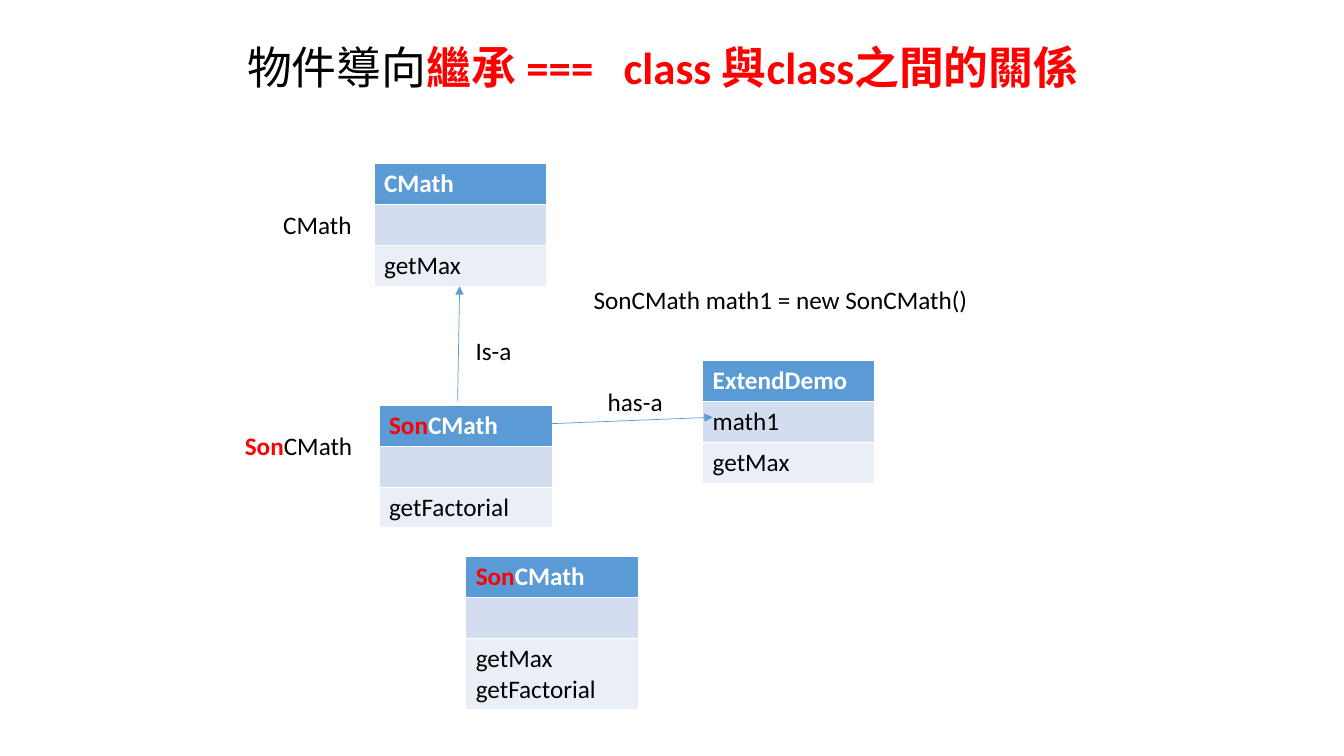
from pptx import Presentation
from pptx.dml.color import RGBColor
from pptx.enum.lang import MSO_LANGUAGE_ID
from pptx.enum.shapes import MSO_CONNECTOR
from pptx.enum.text import MSO_ANCHOR, MSO_AUTO_SIZE, PP_ALIGN
from pptx.oxml.ns import qn
from pptx.util import Inches, Pt
from lxml.etree import SubElement

STRAIGHT = MSO_CONNECTOR.STRAIGHT
TOP = MSO_ANCHOR.TOP
GROW, FIXED = MSO_AUTO_SIZE.SHAPE_TO_FIT_TEXT, MSO_AUTO_SIZE.NONE
LEFT = PP_ALIGN.LEFT
CHINESE = MSO_LANGUAGE_ID.TRADITIONAL_CHINESE

BLACK = RGBColor(0, 0, 0)
WHITE = RGBColor(255, 255, 255)
RED = RGBColor(255, 0, 0)
BLUE = RGBColor(0x5B, 0x9B, 0xD5)
MID = RGBColor(0xD2, 0xDE, 0xEF)
PALE = RGBColor(0xEA, 0xEF, 0xF7)

FONT = "Calibri"
WIDE, HIGH = Inches(13.33), Inches(7.5)
ROW = 5.42      # height of a table row, percent of the slide
LINE = 5.33     # height of a one-line label, percent of the slide
SON = ("Son", RED, True)


def scale(*parts):
    """Turn percentages of the slide, x and y in turn, into lengths."""
    return [int(part * (HIGH if i % 2 else WIDE) / 100)
            for i, part in enumerate(parts)]


def write(para, runs, size=18):
    """Fill a paragraph with (text, colour, bold) runs."""
    para.font.name, para.font.size = FONT, Pt(size)
    for text, color, bold in runs:
        run = para.add_run()
        run.text = text
        run.font.color.rgb, run.font.bold = color, bold


def add_title(slide, box):
    """Place the two-coloured heading in the title placeholder."""
    title = slide.shapes.title
    title.left, title.top, title.width, title.height = scale(*box)
    frame = title.text_frame
    frame.word_wrap, frame.auto_size = True, FIXED
    frame.vertical_anchor = TOP
    para = frame.paragraphs[0]
    para.alignment, para.line_spacing = LEFT, 0.9
    write(para, [("物件導向", BLACK, False),
                 ("繼承 ===   class 與class之間的關係", RED, True)], 32)
    for run in para.runs:
        run.font.language_id = CHINESE


def add_class(slide, box, name, fields=(), methods=()):
    """Draw a class as a table of name, fields and methods."""
    x, y, wide = box
    frame = slide.shapes.add_table(3, 1, *scale(x, y, wide, 3 * ROW))
    body = [[[(text, BLACK, False)] for text in part]
            for part in (fields, methods)]
    for i, (lines, fill) in enumerate(zip([[name], *body],
                                          (BLUE, MID, PALE))):
        cell = frame.table.cell(i, 0)
        cell.fill.solid()
        cell.fill.fore_color.rgb = fill
        text = cell.text_frame
        for j, runs in enumerate(lines):
            para = text.add_paragraph() if j else text.paragraphs[0]
            write(para, runs)


def add_label(slide, box, *runs):
    """Add a one-line label."""
    x, y, wide = box
    frame = slide.shapes.add_textbox(*scale(x, y, wide, LINE)).text_frame
    frame.word_wrap, frame.auto_size = False, GROW
    write(frame.paragraphs[0], runs)


def add_arrow(slide, ends):
    """Draw a thin arrow between two points."""
    arrow = slide.shapes.add_connector(STRAIGHT, *scale(*ends))
    arrow.line.color.rgb, arrow.line.width = BLUE, Pt(0.5)
    SubElement(arrow.line._get_or_add_ln(), qn("a:tailEnd"), type="triangle")
    SubElement(arrow._element.spPr, qn("a:effectLst"))


def add_tree(slide):
    """Draw the classes, their labels and their relations."""
    base = ("CMath", WHITE, True)
    demo = ("ExtendDemo", WHITE, True)
    add_class(slide, (27.83, 21.6, 12.83), [base], methods=["getMax"])
    add_class(slide, (28.2, 53.6, 12.9), [SON, base],
              methods=["getFactorial"])
    add_class(slide, (52.28, 47.73, 12.83), [demo], ["math1"], ["getMax"])
    add_class(slide, (34.65, 73.6, 12.9), [SON, base],
              methods=["getMax", "getFactorial"])

    plain = ("CMath", BLACK, False)
    add_label(slide, (20.33, 27.07, 6.68), plain)
    add_label(slide, (17.48, 56.27, 9.53), SON, plain)
    for box, text in (((34.65, 43.73, 4.2), "Is-a"),
                      ((44.48, 50.4, 5.63), "has-a"),
                      ((43.43, 36.93, 29.7),
                       "SonCMath math1 = new SonCMath()")):
        add_label(slide, box, (text, BLACK, False))

    add_arrow(slide, (34.05, 53.07, 34.2, 37.87))
    add_arrow(slide, (37.73, 56.27, 53.03, 55.2))


deck = Presentation()
deck.slide_width, deck.slide_height = WIDE, HIGH
page = deck.slides.add_slide(deck.slide_layouts[5])
add_title(page, (17.63, 5.33, 64.65, 9.07))
add_tree(page)
deck.save("out.pptx")
